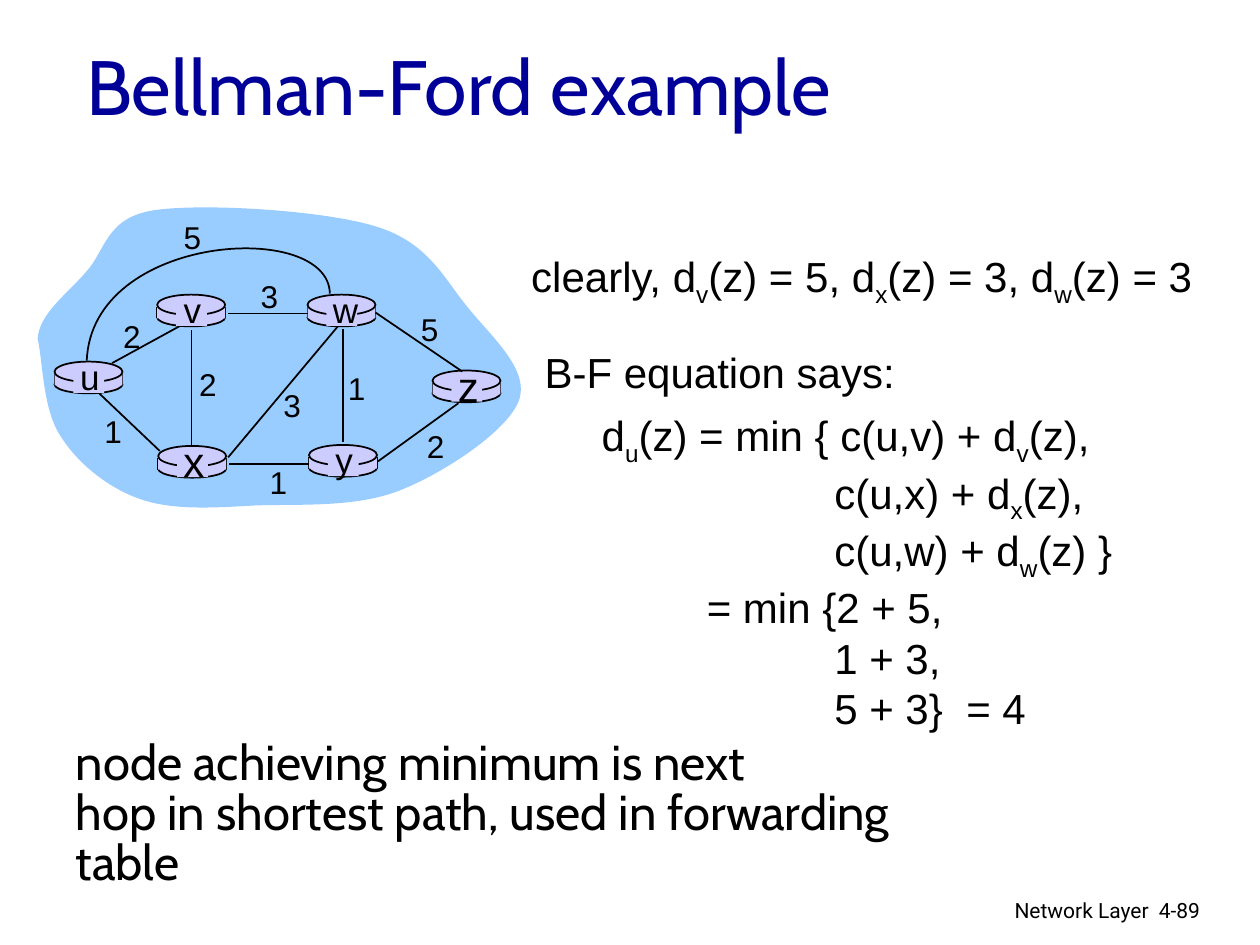
from dataclasses import dataclass

from lxml import etree
from pptx import Presentation
from pptx.dml.color import RGBColor
from pptx.enum.shapes import MSO_CONNECTOR, MSO_SHAPE
from pptx.enum.text import MSO_ANCHOR, PP_ALIGN
from pptx.oxml.ns import qn
from pptx.util import Cm, Pt

LEFT, CENTER, RIGHT = PP_ALIGN.LEFT, PP_ALIGN.CENTER, PP_ALIGN.RIGHT
MIDDLE, TOP = MSO_ANCHOR.MIDDLE, MSO_ANCHOR.TOP
RECT, OVAL = MSO_SHAPE.RECTANGLE, MSO_SHAPE.OVAL
STRAIGHT = MSO_CONNECTOR.STRAIGHT


@dataclass(frozen=True)
class Theme:
    ink: RGBColor = RGBColor(0, 0, 0)
    title: RGBColor = RGBColor(0x00, 0x00, 0x99)
    cloud: RGBColor = RGBColor(0x99, 0xCC, 0xFF)
    router: RGBColor = RGBColor(0xCC, 0xCC, 0xFF)
    head_font: str = "Cabin"
    math_font: str = "Arial"
    foot_font: str = "Roboto"
    title_size: int = 44
    note_size: int = 28
    math_size: int = 24
    cost_size: int = 18
    foot_size: int = 12
    line: float = 1


T = Theme()

# Cloud outline: a start point, then Bezier triples (cm within the network box)
CLOUD = [(0, 2.74),
         (0.03, 2.24), (0.58, 1.85), (0.97, 1.4), (1.37, 0.97), (1.37, 0.3), (2.34, 0.15),
         (3.33, 0), (5.79, 0.15), (6.83, 0.48), (7.9, 0.81), (8.2, 1.55), (8.69, 2.13),
         (9.17, 2.72), (9.93, 3.38), (9.7, 3.99), (9.47, 4.6), (8.2, 5.44), (7.32, 5.79),
         (6.43, 6.15), (5.26, 6.07), (4.39, 6.1), (3.51, 6.15), (2.72, 6.2), (2.06, 5.97),
         (1.4, 5.74), (0.79, 5.23), (0.46, 4.7), (0.1, 4.17), (0.1, 3.15), (0, 2.74)]
ARC_UW = [(5.89, 1.83), (5.87, 0.33), (1.09, 0.61), (0.99, 3.18)]

# name, left, top, label size
ROUTERS = [("u", 0.34, 3.2, 20), ("x", 2.43, 4.9, 24), ("v", 2.41, 1.85, 20),
           ("w", 5.44, 1.85, 20), ("y", 5.47, 4.88, 20), ("z", 7.96, 3.38, 24)]
# start, end, cost, corner of the cost label
LINKS = [((1.5, 3.23), (2.87, 2.48), "2", (1.47, 2.18)),
         ((3.1, 2.57), (3.1, 4.93), "2", (3, 3.15)),
         ((2.46, 5), (1.24, 3.84), "1", (1.09, 4.09)),
         ((3.84, 5.13), (6.05, 2.49), "3", (4.7, 3.56)),
         ((5.46, 5.27), (3.86, 5.27), "1", (4.42, 5.12)),
         ((6.15, 2.54), (6.15, 4.83), "1", (6, 3.23)),
         ((6.86, 5.21), (8.48, 4.04), "2", (7.59, 4.39)),
         ((8.56, 3.4), (6.81, 2.21), "5", (7.47, 2.03)),
         ((5.44, 2.23), (3.84, 2.23), "3", (4.24, 1.37))]

# Equation lines: indent in cm, then text with _ before each subscript letter
EQUATION = [(0, "d_u(z) = min { c(u,v) + d_v(z),"),
            (4.69, "c(u,x) + d_x(z),"),
            (4.69, "c(u,w) + d_w(z) }"),
            (2.12, "= min {2 + 5,"),
            (4.69, "1 + 3,"),
            (4.69, "5 + 3")]


def add_run(p, text, font, size, color=T.ink):
    r = p.add_run()
    r.text = text
    r.font.name, r.font.size, r.font.color.rgb = font, Pt(size), color
    return r


def add_math(p, text):
    """Add text in which _ marks the next letter as a subscript."""
    first, *rest = text.split("_")
    add_run(p, first, T.math_font, T.math_size)
    for part in rest:
        r = add_run(p, part[0], T.math_font, T.math_size)
        r.font._element.set("baseline", "-25000")
        add_run(p, part[1:], T.math_font, T.math_size)


def add_box(s, x, y, w, h, align=LEFT, anchor=TOP, wrap=True):
    tf = s.shapes.add_textbox(Cm(x), Cm(y), Cm(w), Cm(h)).text_frame
    tf.word_wrap, tf.vertical_anchor = wrap, anchor
    tf.paragraphs[0].alignment = align
    return tf


def add_label(s, cx, cy, text, size):
    w, h = 0.9, 0.25 + 0.0425 * size
    tf = add_box(s, cx - w / 2, cy - h / 2, w, h, CENTER, wrap=False)
    add_run(tf.paragraphs[0], text, T.math_font, size)


def paint(sp, fill=None, outlined=False):
    sp.shadow.inherit = False
    if fill is None:
        sp.fill.background()
    else:
        sp.fill.solid()
        sp.fill.fore_color.rgb = fill
    if outlined:
        sp.line.color.rgb, sp.line.width = T.ink, Pt(T.line)
    else:
        sp.line.fill.background()


def add_part(s, kind, x, y, w, h, outlined=False):
    paint(s.shapes.add_shape(kind, Cm(x), Cm(y), Cm(w), Cm(h)), T.router, outlined)


def add_line(s, x1, y1, x2, y2):
    c = s.shapes.add_connector(STRAIGHT, Cm(x1), Cm(y1), Cm(x2), Cm(y2))
    c.line.color.rgb, c.line.width = T.ink, Pt(T.line)
    etree.SubElement(c._element.spPr, qn("a:effectLst"))


def add_curve(s, x, y, points, closed):
    """Build an outline, then turn each three line points into one Bezier segment."""
    dots = [(Cm(x + px), Cm(y + py)) for px, py in points]
    fb = s.shapes.build_freeform(*dots[0])
    fb.add_line_segments(dots[1:], close=closed)
    sp = fb.convert_to_shape()
    lines = list(sp._element.iter(qn("a:lnTo")))
    for i in range(0, len(lines), 3):
        curve = etree.Element(qn("a:cubicBezTo"))
        lines[i].addprevious(curve)
        for line in lines[i:i + 3]:
            curve.append(line[0])
            line.getparent().remove(line)
    return sp


def add_router(s, x, y, w=1.37):
    add_part(s, OVAL, x, y + 0.28, w, 0.36, outlined=True)
    for side in (x, x + w):
        add_line(s, side, y + 0.25, side, y + 0.48)
    add_part(s, RECT, x, y + 0.25, w, 0.23)
    add_part(s, OVAL, x, y, w, 0.41, outlined=True)


def add_network(s, x, y):
    paint(add_curve(s, x, y, CLOUD, closed=True), T.cloud)
    for _, rx, ry, _ in ROUTERS:
        add_router(s, x + rx, y + ry)
    # Links between routers
    for (x1, y1), (x2, y2), _, _ in LINKS:
        add_line(s, x + x1, y + y1, x + x2, y + y2)
    paint(add_curve(s, x, y, ARC_UW, closed=False), outlined=True)
    # Router names
    for name, rx, ry, size in ROUTERS:
        add_part(s, RECT, x + rx + 0.38, y + ry + 0.05, 0.62, 0.58)
        add_label(s, x + rx + 0.71, y + ry + 0.3, name, size)
    # Link costs
    for cost, (cx, cy) in [link[2:] for link in LINKS] + [("5", (2.69, 0.18))]:
        add_label(s, x + cx + 0.43, y + cy + 0.51, cost, T.cost_size)


def add_title(s, x, y, w, h):
    sp = s.shapes.title
    sp.left, sp.top, sp.width, sp.height = Cm(x), Cm(y), Cm(w), Cm(h)
    tf = sp.text_frame
    tf.vertical_anchor = MIDDLE
    p = tf.paragraphs[0]
    p.alignment = LEFT
    add_run(p, "Bellman-Ford example", T.head_font, T.title_size, T.title)


def add_equations(s, x, y):
    tf = add_box(s, x, y, 14.02, 1.27, wrap=False)
    add_math(tf.paragraphs[0], "clearly, d_v(z) = 5, d_x(z) = 3, d_w(z) = 3")
    tf = add_box(s, x + 1.42, y + 3.21, 10.85, 6.35, wrap=False)
    for i, (indent, text) in enumerate(EQUATION):
        p = tf.add_paragraph() if i else tf.paragraphs[0]
        p._p.get_or_add_pPr().set("marL", str(Cm(indent)))
        add_math(p, text)
    # Widen the gap before the result by letter spacing
    brace = add_run(p, "}", T.math_font, T.math_size)
    brace.font._element.set("spc", "667")
    add_math(p, " = 4")
    tf = add_box(s, x + 0.27, y + 1.93, 7.57, 1.27, wrap=False)
    add_math(tf.paragraphs[0], "B-F equation says:")


def add_note(s, x, y, w, h):
    tf = add_box(s, x, y, w, h)
    for i, text in enumerate(("node achieving minimum is next",
                              "hop in shortest path, used in forwarding table")):
        p = tf.add_paragraph() if i else tf.paragraphs[0]
        p.line_spacing = 0.85
        add_run(p, text, T.head_font, T.note_size)


def add_footer(s, x, y):
    for dx, w, align, text in ((0, 8.05, RIGHT, "Network Layer"), (7.75, 1.88, LEFT, "4-89")):
        tf = add_box(s, x + dx, y, w, 0.78, align)
        add_run(tf.paragraphs[0], text, T.foot_font, T.foot_size)


def main():
    prs = Presentation()
    prs.slide_width, prs.slide_height = Cm(25.4), Cm(19.05)
    s = prs.slides.add_slide(prs.slide_layouts[5])
    add_footer(s, 15.36, 17.96)
    add_title(s, 1.48, 0.48, 21.59, 2.44)
    add_network(s, 0.76, 4.09)
    add_equations(s, 10.46, 4.93)
    add_note(s, 1.28, 14.81, 18.8, 2.29)
    prs.save("out.pptx")


if __name__ == "__main__":
    main()
